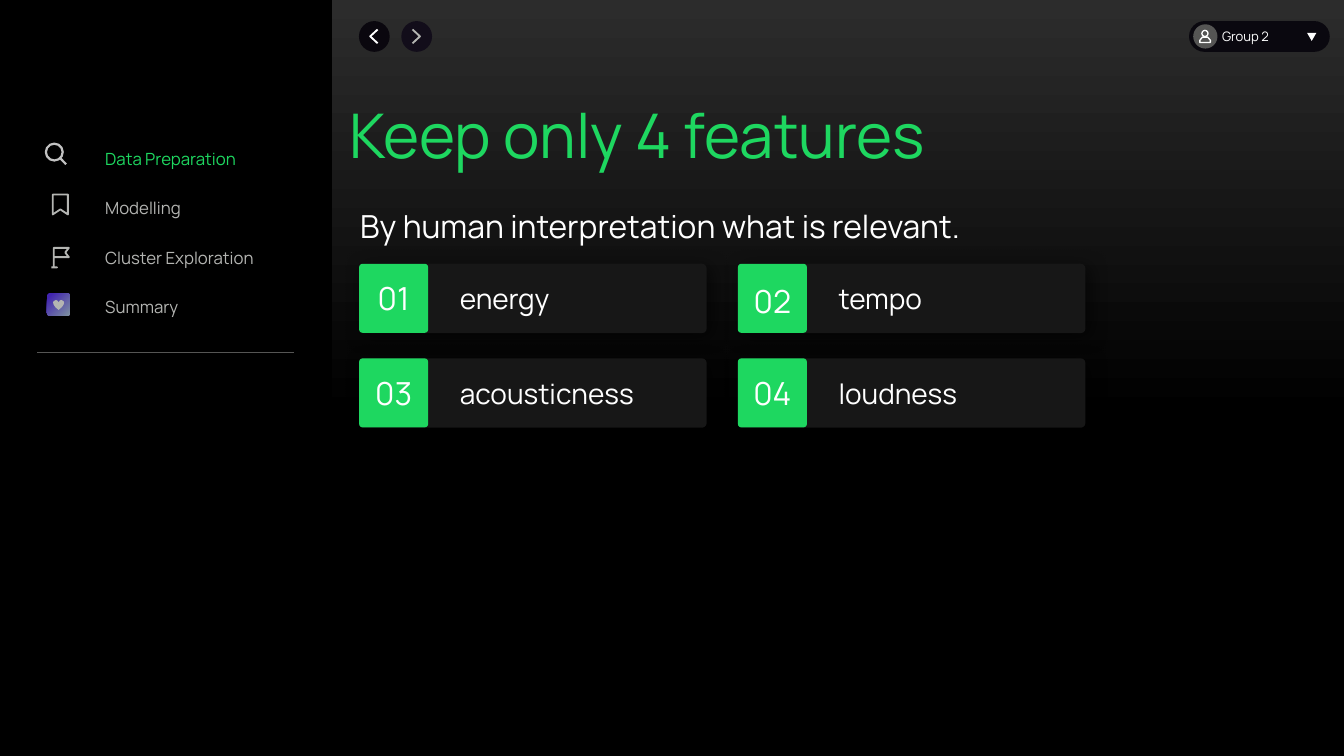
from lxml.etree import SubElement
from pptx import Presentation
from pptx.dml.color import RGBColor
from pptx.enum.shapes import MSO_CONNECTOR as Link, MSO_SHAPE as Shape
from pptx.enum.text import MSO_AUTO_SIZE as AutoSize, PP_ALIGN as Align
from pptx.oxml.ns import qn
from pptx.util import Pt

GREEN, WHITE, BLACK = "1ED760", "FFFFFF", "000000"
SILVER, GREY, CARD = "B4B5B2", "555554", "171717"


def color(code):
    return RGBColor.from_string(code)


class Painter:
    """Holds the text style and the current slide; lengths are in points."""

    font = "Manrope"
    frame_format = {
        "margin_left": Pt(5), "margin_right": Pt(5),
        "margin_top": Pt(2.7), "margin_bottom": Pt(2.7),
        "word_wrap": True, "auto_size": AutoSize.SHAPE_TO_FIT_TEXT,
    }

    def __init__(self, slide):
        self.slide = slide
        self.shapes = slide.shapes

    def gradient(self, fill, stops, angle):
        fill.gradient()
        fill.gradient_angle = angle
        for stop, (position, code) in zip(fill.gradient_stops, stops):
            stop.position = position
            stop.color.rgb = color(code)

    def finish(self, shape, fill=None, line=None, weight=1):
        shape.shadow.inherit = False
        if fill:
            shape.fill.solid()
            shape.fill.fore_color.rgb = color(fill)
        else:
            shape.fill.background()
        if line:
            shape.line.color.rgb = color(line)
            shape.line.width = Pt(weight)
        else:
            shape.line.fill.background()
        return shape

    def shape(self, kind, left, top, width, height, fill=None, adjust=None, **stroke):
        shape = self.shapes.add_shape(kind, Pt(left), Pt(top), Pt(width), Pt(height))
        if adjust is not None:
            shape.adjustments[0] = adjust
        return self.finish(shape, fill, **stroke)

    def outline(self, points, line, weight=1, close=False):
        corners = [(Pt(x), Pt(y)) for x, y in points]
        builder = self.shapes.build_freeform(*corners[0], scale=1.0)
        builder.add_line_segments(corners[1:], close=close)
        return self.finish(builder.convert_to_shape(), None, line, weight)

    def line(self, start, end, code, weight):
        ends = [Pt(value) for value in (*start, *end)]
        link = self.shapes.add_connector(Link.STRAIGHT, *ends)
        link.line.color.rgb = color(code)
        link.line.width = Pt(weight)
        SubElement(link._element.spPr, qn("a:effectLst"))

    def drop_shadow(self, shape):
        effects = shape._element.spPr.find(qn("a:effectLst"))
        shadow = SubElement(effects, qn("a:outerShdw"), blurRad=str(Pt(10)),
                            dist=str(Pt(3)), dir="2700000", algn="ctr", rotWithShape="0")
        tint = SubElement(shadow, qn("a:srgbClr"), val=BLACK)
        SubElement(tint, qn("a:alpha"), val="60000")

    def text(self, words, left, top, width, height, size, code=WHITE, align=Align.LEFT):
        box = self.shapes.add_textbox(Pt(left), Pt(top), Pt(width), Pt(height))
        for name, value in self.frame_format.items():
            setattr(box.text_frame, name, value)
        para = box.text_frame.paragraphs[0]
        para.alignment = align
        span = para.add_run()
        span.text = words
        for name, value in {"name": self.font, "size": Pt(size)}.items():
            setattr(span.font, name, value)
        span.font.color.rgb = color(code)


def draw_header(painter):
    # Back and forward buttons
    buttons = [(192.3, "0A070E", WHITE, 2), (215, "120D1A", SILVER, -2)]
    for left, fill, stroke, reach in buttons:
        painter.shape(Shape.OVAL, left, 11.3, 16.5, 16.5, fill)
        middle = left + 8
        painter.outline([(middle + reach, 15.8), (middle - reach, 19.5),
                         (middle + reach, 23.2)], stroke)

    # Group selector
    painter.shape(Shape.ROUNDED_RECTANGLE, 637, 11.3, 75.4, 16.5, "0A080F", 0.5)
    painter.shape(Shape.OVAL, 639.2, 13, 13, 13, GREY)
    painter.shape(Shape.OVAL, 643.9, 16.3, 3.3, 3.3, line=WHITE, weight=0.7)
    painter.outline([(642.8, 22.8), (642.8, 21.6), (644.2, 19.9), (647, 19.9),
                     (648.4, 21.6), (648.4, 22.8)], WHITE, 0.7, close=True)
    painter.text("Group 2", 649.7, 12.3, 50.4, 13.7, 7)
    arrow = painter.shape(Shape.ISOSCELES_TRIANGLE, 700.2, 17.6, 5, 4.3, WHITE)
    arrow.rotation = 180


def draw_sidebar(painter):
    painter.shape(Shape.RECTANGLE, 0, 0, 177.8, 405, BLACK)

    # Menu
    menu = [("Data Preparation", 89.3, GREEN), ("Modelling", 76.3, SILVER),
            ("Cluster Exploration", 103, SILVER), ("Summary", 67.7, SILVER)]
    for row, (label, width, code) in enumerate(menu):
        painter.text(label, 51.4, 77 + 26.5 * row, width, 16.6, 9, code)
    painter.line((20, 189), (157.5, 189), GREY, 0.75)

    # Search icon
    painter.shape(Shape.OVAL, 24.6, 77, 9, 9, line="C1C1C1", weight=1.2)
    painter.line((32.3, 84.8), (35.4, 88), "C1C1C1", 1.2)

    # Bookmark and flag icons
    painter.outline([(28.3, 104.2), (36.4, 104.2), (36.4, 114.9), (32.4, 112.2),
                     (28.3, 114.9)], SILVER, close=True)
    painter.outline([(27.6, 143.3), (30.6, 143.3), (28.8, 143.3), (28.8, 132.8),
                     (36.9, 132.8), (35, 135.3), (36.9, 137.8), (28.8, 137.8)], SILVER)

    # Heart tile
    tile = painter.shape(Shape.ROUNDED_RECTANGLE, 25.2, 157, 12.3, 12.3, "4224B0", 0.13)
    painter.gradient(tile.fill, [(0.11, "4224B0"), (1, "7F93A0")], 315)
    painter.shape(Shape.HEART, 28.5, 160.6, 5.8, 5.4, SILVER)


def draw_features(painter):
    painter.text("Keep only 4 features", 182.2, 49, 367.2, 45.4, 33, GREEN)
    painter.text("By human interpretation what is relevant.", 188, 108, 413.3, 25.9, 17)

    # Numbered cards in two columns
    features = [("energy", 5.6), ("tempo", 7.2), ("acousticness", 5.6), ("loudness", 5.6)]
    for index, (label, drop) in enumerate(features):
        row, column = divmod(index, 2)
        left, top = 192.4 + 202.9 * column, 141.3 + 50.7 * row
        card = painter.shape(Shape.ROUNDED_RECTANGLE, left, top, 186.2, 37.2, CARD, 0.07)
        painter.drop_shadow(card)
        painter.shape(Shape.ROUNDED_RECTANGLE, left, top, 37, 37, GREEN, 0.05)
        painter.text(f"{index + 1:02}", left, top + drop, 37, 25.9, 17, align=Align.CENTER)
        painter.text(label, left + 49, top + 7, 125, 23.8, 15)


def main():
    deck = Presentation()
    deck.slide_width, deck.slide_height = Pt(720), Pt(405)
    page = deck.slides.add_slide(deck.slide_layouts[6])
    painter = Painter(page)
    painter.gradient(page.background.fill, [(0, "2C2C2C"), (0.55, BLACK)], 270)
    draw_header(painter)
    draw_sidebar(painter)
    draw_features(painter)
    deck.save("out.pptx")


if __name__ == "__main__":
    main()
